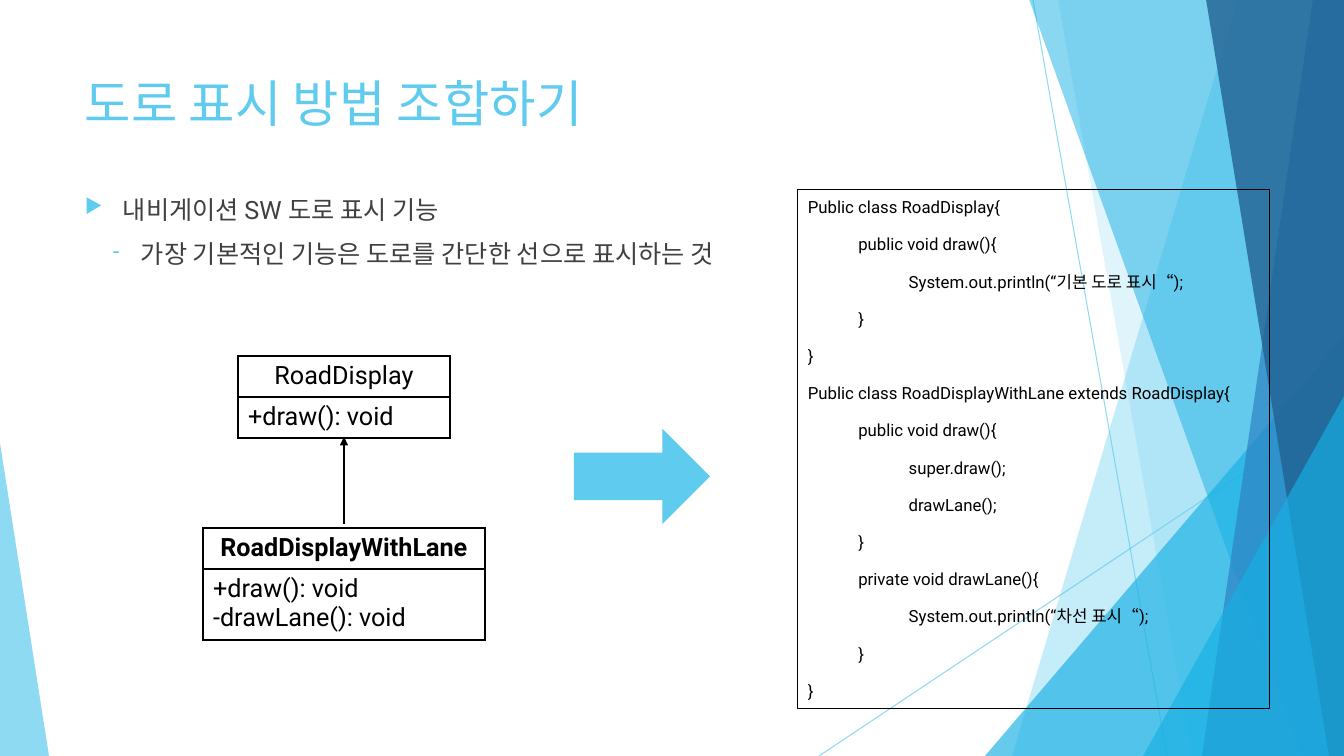
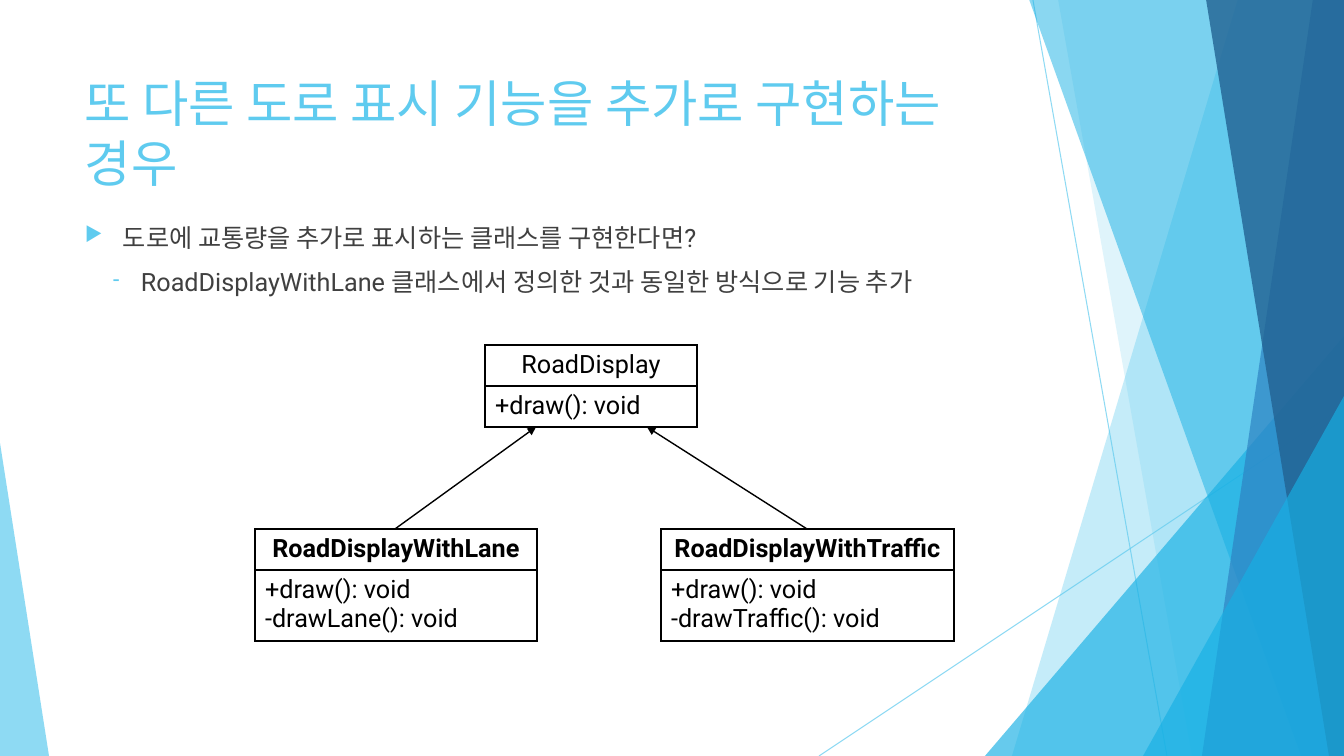
from lxml.etree import SubElement
from pptx import Presentation
from pptx.dml.color import RGBColor
from pptx.enum.shapes import MSO_CONNECTOR, MSO_SHAPE
from pptx.enum.text import MSO_ANCHOR, PP_ALIGN
from pptx.oxml.ns import qn
from pptx.util import Emu, Pt

PIXEL = 914400 / 100.8
WIDTH, HEIGHT = 1344, 756
FONT = "Roboto"
SKY, AZURE, BLUE, NAVY = "5FCBEF", "17B0E4", "2E83C3", "226292"
BLACK, WHITE, GREY = "000000", "FFFFFF", "404040"

RAYS = [((1033, 0), (1167, HEIGHT)), ((WIDTH, 406), (819, HEIGHT))]
BACK_BANDS = [(1238, 1012, SKY, 36), (1058, 1192, SKY, 20)]
FRONT_BANDS = [(1029, 1301, AZURE, 50), (1313, 1202, BLUE, 70), (1206, 1329, NAVY, 80)]

BASE_CLASS = ("RoadDisplay", ["+draw(): void"], 212)
LANE_CLASS = ("RoadDisplayWithLane", ["+draw(): void", "-drawLane(): void"], 282)
TRAFFIC_CLASS = ("RoadDisplayWithTraffic", ["+draw(): void", "-drawTraffic(): void"], 293)

CODE = [
    (0, "Public class RoadDisplay{"),
    (1, "public void draw(){"),
    (2, "System.out.println(“기본 도로 표시“);"),
    (1, "}"),
    (0, "}"),
    (0, "Public class RoadDisplayWithLane extends RoadDisplay{"),
    (1, "public void draw(){"),
    (2, "super.draw();"),
    (2, "drawLane();"),
    (1, "}"),
    (1, "private void drawLane(){"),
    (2, "System.out.println(“차선 표시“);"),
    (1, "}"),
    (0, "}"),
]


def px(*lengths):
    return [Emu(round(length * PIXEL)) for length in lengths]


def rgb(value):
    return RGBColor.from_string(value)


def set_alpha(item, percent):
    for color in item.element.spPr.iter(qn("a:srgbClr")):
        SubElement(color, qn("a:alpha"), val=str(percent * 1000))


def paint(item, color, alpha=100):
    item.shadow.inherit = False
    item.fill.solid()
    item.fill.fore_color.rgb = rgb(color)
    item.line.fill.background()
    if alpha < 100:
        set_alpha(item, alpha)


def style_runs(paragraph, size, color=BLACK, bold=False):
    for run in paragraph.runs:
        run.font.name = FONT
        run.font.size = Pt(size)
        run.font.bold = bold
        run.font.color.rgb = rgb(color)


def add_line(slide, start, end, color, weight):
    line = slide.shapes.add_connector(MSO_CONNECTOR.STRAIGHT, *px(*start, *end))
    line.line.color.rgb = rgb(color)
    line.line.width = Pt(weight)
    SubElement(line.element.spPr, qn("a:effectLst"))
    return line


def add_inheritance(slide, child, parent):
    arrow = add_line(slide, child, parent, BLACK, 1)
    SubElement(arrow.element.spPr.find(qn("a:ln")), qn("a:tailEnd"), type="triangle")


def add_band(slide, top_x, bottom_x, color, alpha):
    outline = slide.shapes.build_freeform(top_x, -1, scale=PIXEL)
    outline.add_line_segments([(WIDTH, -1), (WIDTH, HEIGHT), (bottom_x, HEIGHT)], close=True)
    paint(outline.convert_to_shape(), color, alpha)


def add_corner(slide, left, top, width, apex, color, alpha):
    corner = slide.shapes.add_shape(
        MSO_SHAPE.ISOSCELES_TRIANGLE, *px(left, top, width, HEIGHT - top))
    corner.adjustments[0] = apex
    paint(corner, color, alpha)


def add_backdrop(slide):
    for start, end in RAYS:
        set_alpha(add_line(slide, start, end, SKY, 0.75), 70)
    for band in BACK_BANDS:
        add_band(slide, *band)
    add_corner(slide, 985, 336, 359, 1, AZURE, 66)
    for band in FRONT_BANDS:
        add_band(slide, *band)
    add_corner(slide, 1143, 396, 201, 1, AZURE, 66)
    add_corner(slide, 0, 443, 49, 0, SKY, 70)


def add_text(slide, top, height, lines):
    frame = slide.shapes.add_textbox(*px(75, top, 948, height)).text_frame
    frame.word_wrap = True
    frame.text = "\n".join(lines)
    return frame.paragraphs


def add_bullet(paragraph, mark, margin, hanging):
    paragraph.space_before = Pt(10)
    properties = paragraph._p.get_or_add_pPr()
    margin, hanging = px(margin, hanging)
    properties.set("marL", str(margin))
    properties.set("indent", str(-hanging))
    SubElement(SubElement(properties, qn("a:buClr")), qn("a:srgbClr"), val=SKY)
    SubElement(properties, qn("a:buSzPct"), val="80000")
    SubElement(properties, qn("a:buChar"), char=mark)


def add_topic_slide(deck, title, body_top, topic, detail):
    slide = deck.slides.add_slide(deck.slide_layouts[6])
    add_backdrop(slide)
    style_runs(add_text(slide, 67, 145, [title])[0], 36, SKY)
    points = add_text(slide, body_top, 97, [topic, detail])
    add_bullet(points[0], "▶", 38, 38)
    add_bullet(points[1], "-", 56, 28)
    for point in points:
        style_runs(point, 18, GREY)
    return slide


def fill_cell(cell, text, bold=False, align=PP_ALIGN.LEFT):
    properties = cell._tc.get_or_add_tcPr()
    for side in ("lnL", "lnR", "lnT", "lnB"):
        border = SubElement(properties, qn("a:" + side), w=str(Pt(1)))
        SubElement(SubElement(border, qn("a:solidFill")), qn("a:srgbClr"), val=BLACK)
    cell.fill.solid()
    cell.fill.fore_color.rgb = rgb(WHITE)
    cell.text_frame.text = text
    for paragraph in cell.text_frame.paragraphs:
        paragraph.alignment = align
        style_runs(paragraph, 18, BLACK, bold)


def add_class(slide, left, top, uml_class):
    name, methods, width = uml_class
    heights = (41, 11 + 30 * len(methods))
    table = slide.shapes.add_table(2, 1, *px(left, top, width, sum(heights))).table
    table.first_row = table.horz_banding = False
    for row, height in zip(table.rows, px(*heights)):
        row.height = height
    fill_cell(table.cell(0, 0), name, uml_class is not BASE_CLASS, PP_ALIGN.CENTER)
    fill_cell(table.cell(1, 0), "\n".join(methods))


def add_code(slide):
    listing = slide.shapes.add_shape(MSO_SHAPE.RECTANGLE, *px(798, 189, 472, 520))
    listing.shadow.inherit = False
    listing.fill.background()
    listing.line.color.rgb = rgb(BLACK)
    listing.line.width = Pt(0.75)
    frame = listing.text_frame
    frame.word_wrap = True
    frame.vertical_anchor = MSO_ANCHOR.TOP
    frame.text = "\n".join(text for _, text in CODE)
    for paragraph, (depth, _) in zip(frame.paragraphs, CODE):
        paragraph.alignment = PP_ALIGN.JUSTIFY
        paragraph.line_spacing = 1.15
        paragraph.space_after = Pt(10)
        paragraph._p.get_or_add_pPr().set("marL", str(px(depth * 50.4)[0]))
        style_runs(paragraph, 12)


def add_lane_slide(deck):
    slide = add_topic_slide(
        deck, "도로 표시 방법 조합하기", 189,
        "내비게이션 SW 도로 표시 기능",
        "가장 기본적인 기능은 도로를 간단한 선으로 표시하는 것")
    add_class(slide, 238, 356, BASE_CLASS)
    add_class(slide, 203, 528, LANE_CLASS)
    add_inheritance(slide, (344, 524), (344, 437))
    add_code(slide)
    paint(slide.shapes.add_shape(MSO_SHAPE.RIGHT_ARROW, *px(574, 429, 136, 95)), SKY)


def add_traffic_slide(deck):
    slide = add_topic_slide(
        deck, "또 다른 도로 표시 기능을 추가로 구현하는 경우", 217,
        "도로에 교통량을 추가로 표시하는 클래스를 구현한다면?",
        "RoadDisplayWithLane 클래스에서 정의한 것과 동일한 방식으로 기능 추가")
    add_class(slide, 485, 345, BASE_CLASS)
    add_class(slide, 255, 529, LANE_CLASS)
    add_inheritance(slide, (395, 529), (536, 427))
    add_class(slide, 661, 529, TRAFFIC_CLASS)
    add_inheritance(slide, (807, 529), (647, 427))


def main():
    deck = Presentation()
    deck.slide_width, deck.slide_height = px(WIDTH, HEIGHT)
    add_lane_slide(deck)
    add_traffic_slide(deck)
    deck.save("out.pptx")


main()
